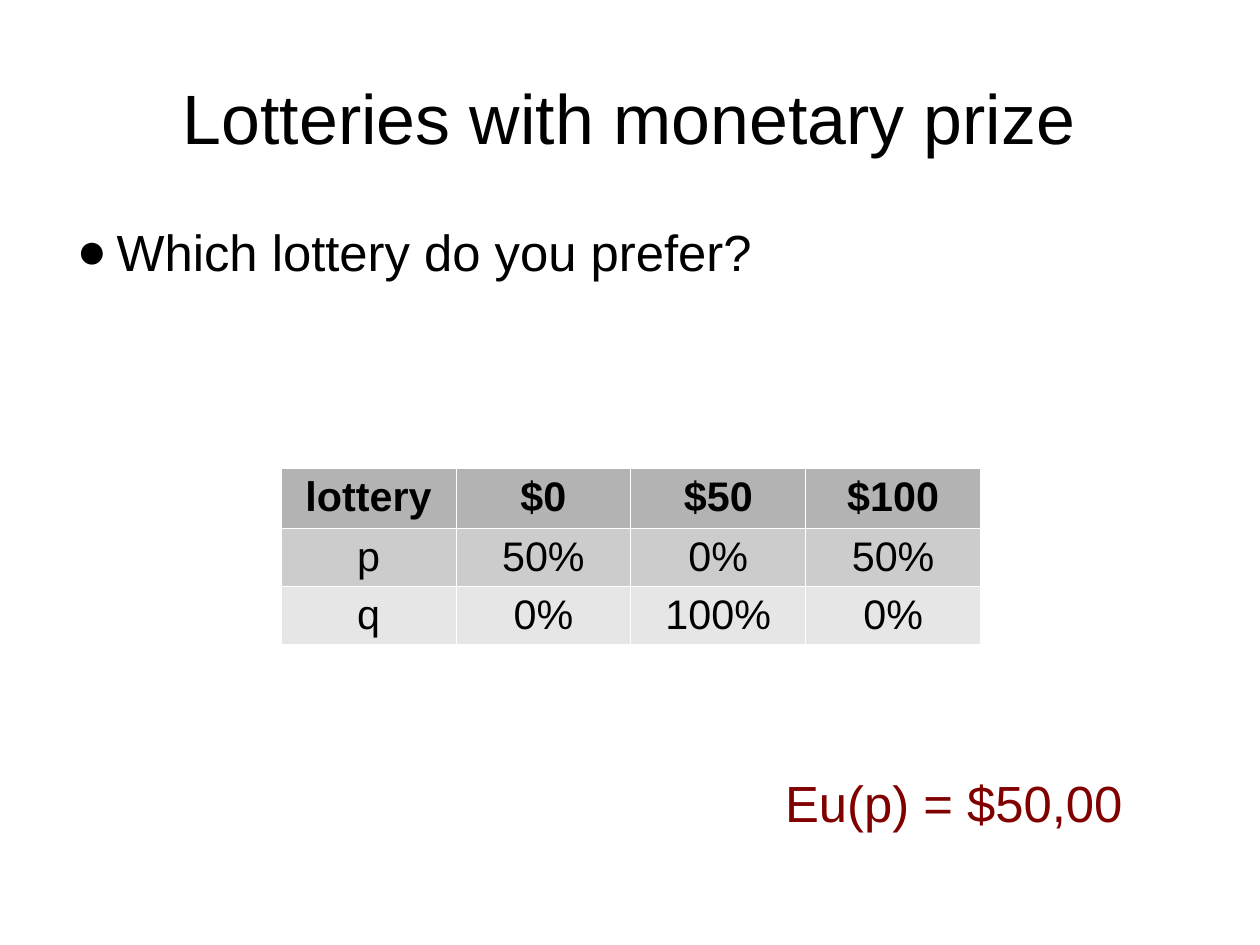
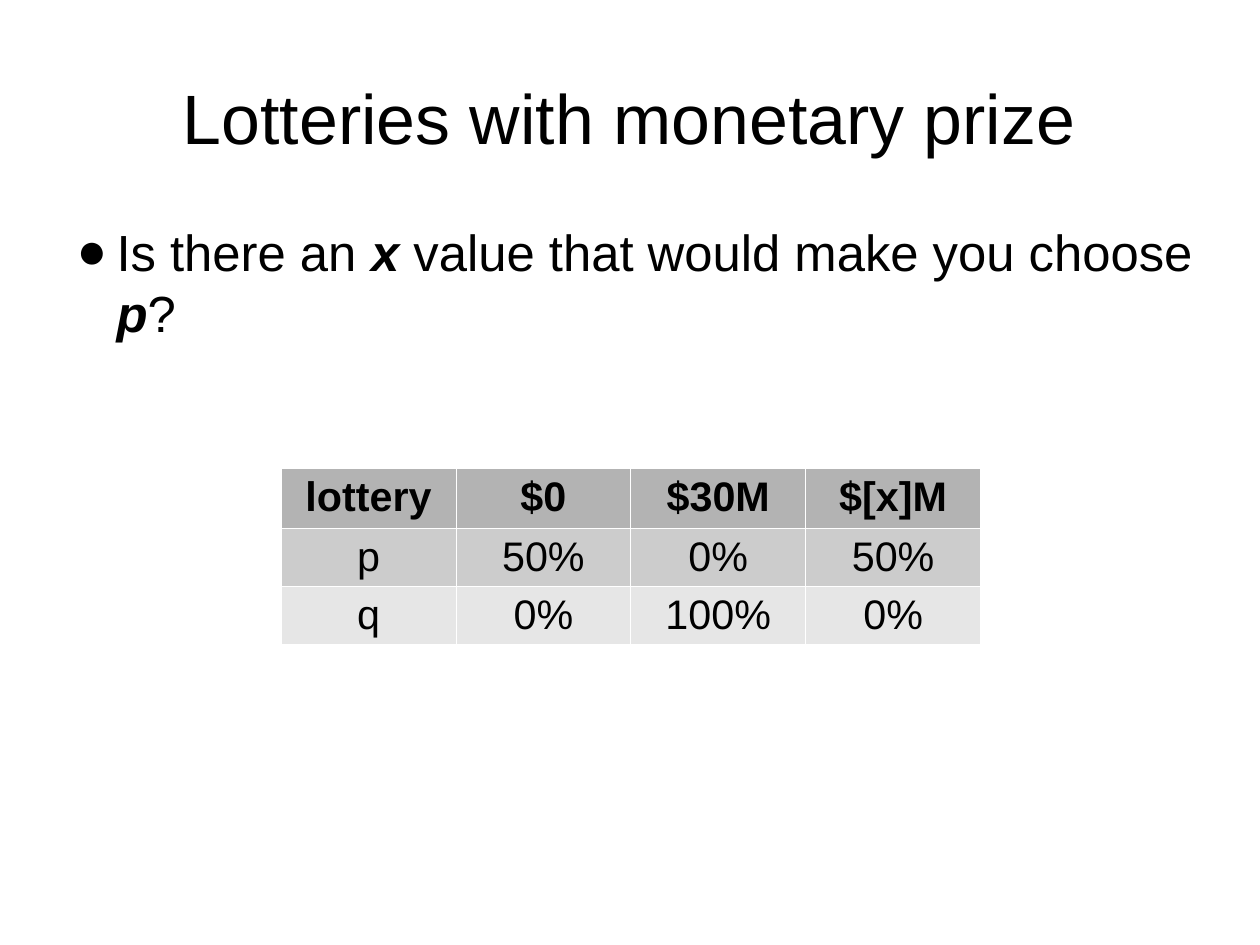
"""Build two slides that compare lotteries with monetary prizes."""
from dataclasses import dataclass

from lxml import etree
from pptx import Presentation
from pptx.dml.color import RGBColor
from pptx.enum.text import MSO_ANCHOR, MSO_AUTO_SIZE, PP_ALIGN
from pptx.oxml import parse_xml
from pptx.oxml.ns import nsdecls, qn
from pptx.util import Inches, Pt

CENTER = PP_ALIGN.CENTER
LEFT = PP_ALIGN.LEFT
MIDDLE = MSO_ANCHOR.MIDDLE
TOP = MSO_ANCHOR.TOP
NO_AUTOFIT = MSO_AUTO_SIZE.NONE


@dataclass(frozen=True)
class Theme:
    font: str = "Arial"
    ink: str = "000000"
    result: str = "800000"
    border: str = "FFFFFF"
    rows: tuple = ("B3B3B3", "CCCCCC", "E6E6E6")
    title_size: int = 44
    body_size: int = 32
    table_size: int = 26
    border_width: float = 0.75


THEME = Theme()
CM_PER_INCH = 2.54
TITLE = "Lotteries with monetary prize"
ROW_HEIGHTS = (0.52, 0.51, 0.51)
COLUMN_WIDTH = 1.53
SLIDES = (
    ("Which lottery do you prefer?", ("$0", "$50", "$100"), "Eu(p) = $50,00"),
    ("Is there an *x* value that would make you choose *p*?",
     ("$0", "$30M", "$[x]M"), None),
)


def style(paragraph, size, color=THEME.ink, align=LEFT, bold=False):
    paragraph.alignment = align
    for run in paragraph.runs:
        run.font.name = THEME.font
        run.font.size = Pt(size)
        run.font.bold = bold
        run.font.color.rgb = RGBColor.from_string(color)


def place(shape, left, top, width, height, anchor):
    shape.left, shape.top = Inches(left), Inches(top)
    shape.width, shape.height = Inches(width), Inches(height)
    frame = shape.text_frame
    frame.margin_left = frame.margin_right = 0
    frame.margin_top = frame.margin_bottom = 0
    frame.vertical_anchor = anchor
    frame.word_wrap = True
    frame.auto_size = NO_AUTOFIT


deck = Presentation()
deck.slide_width = Inches(28 / CM_PER_INCH)
deck.slide_height = Inches(21 / CM_PER_INCH)

for question, prizes, expected_utility in SLIDES:
    slide = deck.slides.add_slide(deck.slide_layouts[1])

    title = slide.shapes.title
    place(title, 0.55, 0.33, 9.92, 1.38, MIDDLE)
    title.text_frame.text = TITLE
    style(title.text_frame.paragraphs[0], THEME.title_size, align=CENTER)

    body = slide.placeholders[1]
    place(body, 0.55, 1.93, 9.92, 4.79, TOP)
    prompt = body.text_frame.paragraphs[0]
    for part in question.split("*"):
        prompt.add_run().text = part
    style(prompt, THEME.body_size)
    for variable in prompt.runs[1::2]:
        variable.font.bold = variable.font.italic = True
    prompt.space_before = Pt(0)
    bullet = prompt._p.get_or_add_pPr()
    bullet.set("marL", str(Inches(0.47)))
    bullet.set("indent", str(Inches(-0.35)))
    etree.SubElement(bullet, qn("a:buChar")).set("char", "●")

    odds = (
        ("lottery", *prizes),
        ("p", "50%", "0%", "50%"),
        ("q", "0%", "100%", "0%"),
    )
    lotteries = slide.shapes.add_table(
        len(odds), len(odds[0]), Inches(2.46), Inches(4.1),
        Inches(COLUMN_WIDTH * len(odds[0])), Inches(sum(ROW_HEIGHTS))).table
    for column in lotteries.columns:
        column.width = Inches(COLUMN_WIDTH)
    for index, (values, height, fill) in enumerate(zip(odds, ROW_HEIGHTS, THEME.rows)):
        lotteries.rows[index].height = Inches(height)
        for cell, value in zip(lotteries.rows[index].cells, values):
            cell.text_frame.text = value
            style(cell.text_frame.paragraphs[0], THEME.table_size,
                  align=CENTER, bold=index == 0)
            properties = cell._tc.get_or_add_tcPr()
            for side in ("lnL", "lnR", "lnT", "lnB"):
                properties.append(parse_xml(
                    f'<a:{side} {nsdecls("a")} w="{Pt(THEME.border_width)}">'
                    f'<a:solidFill><a:srgbClr val="{THEME.border}"/></a:solidFill>'
                    f'</a:{side}>'))
            cell.fill.solid()
            cell.fill.fore_color.rgb = RGBColor.from_string(fill)

    if expected_utility:
        result = slide.shapes.add_textbox(
            Inches(6.77), Inches(6.7), Inches(3.33), Inches(0.6))
        result.text_frame.word_wrap = True
        result.text_frame.text = expected_utility
        style(result.text_frame.paragraphs[0], THEME.body_size, THEME.result)

deck.save("out.pptx")
